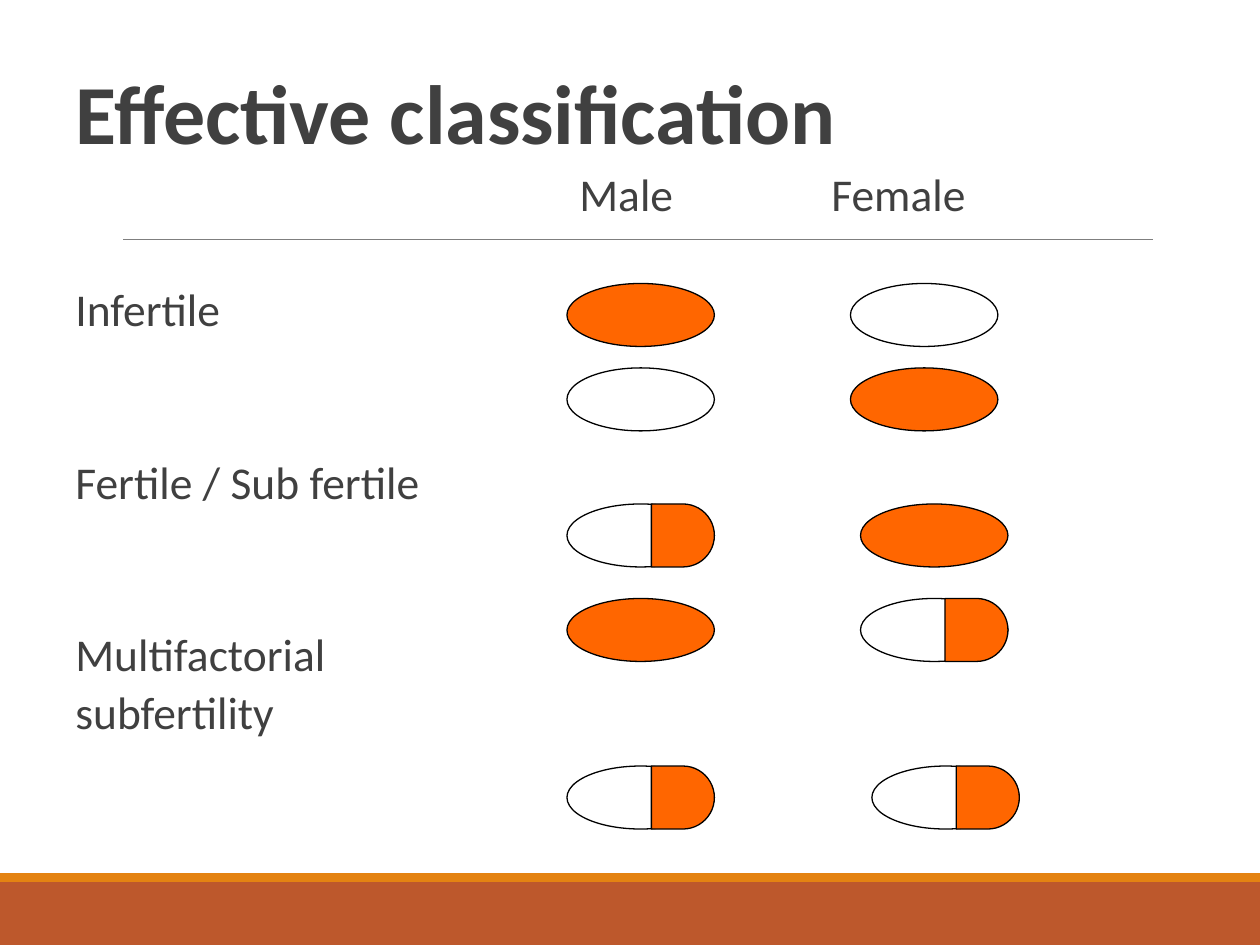
from lxml.etree import SubElement
from pptx import Presentation
from pptx.dml.color import RGBColor
from pptx.enum.shapes import MSO_CONNECTOR, MSO_SHAPE as SHAPE
from pptx.enum.text import MSO_ANCHOR, MSO_AUTO_SIZE, PP_ALIGN
from pptx.oxml.ns import qn
from pptx.util import Inches, Pt


def rgb(value):
    return RGBColor.from_string(value)


def add_shape(kind, x, y, w, h, fill, line=None):
    sp = s.shapes.add_shape(kind, Inches(x), Inches(y), Inches(w), Inches(h))
    sp.shadow.inherit = False
    sp.fill.solid()
    sp.fill.fore_color.rgb = rgb(fill)
    if line:
        sp.line.color.rgb = rgb(line)
        sp.line.width = Pt(0.75)
    else:
        sp.line.fill.background()


ORANGE, WHITE, BLACK, GREY = "FF6600", "FFFFFF", "000000", "404040"

prs = Presentation()
prs.slide_width, prs.slide_height = Inches(10), Inches(7.5)
s = prs.slides.add_slide(prs.slide_layouts[5])

add_shape(SHAPE.RECTANGLE, 0, 7, 10, 0.5, "BD582C")
add_shape(SHAPE.RECTANGLE, 0, 6.93, 10, 0.07, "E48312")

rule = s.shapes.add_connector(MSO_CONNECTOR.STRAIGHT, Inches(0.98), Inches(1.9), Inches(9.15), Inches(1.9))
rule.line.color.rgb = rgb("7F7F7F")
rule.line.width = Pt(0.5)
SubElement(rule._element.spPr, qn("a:effectLst"))

title = s.shapes.title
title.left, title.top, title.width, title.height = Inches(0.5), Inches(0.3), Inches(9), Inches(1.03)
tf = title.text_frame
tf.text = "Effective classification"
tf.auto_size = MSO_AUTO_SIZE.NONE
tf.vertical_anchor = MSO_ANCHOR.BOTTOM
p = tf.paragraphs[0]
p.alignment = PP_ALIGN.LEFT
p.line_spacing = 0.85
p.font.name, p.font.size, p.font.bold = "Calibri", Pt(48), True
p.font.color.rgb = rgb(GREY)

tf = s.shapes.add_textbox(Inches(0.5), Inches(1.42), Inches(9), Inches(5.28)).text_frame
tf.word_wrap = True
labels = [
    ("\tMale\tFemale", 0),
    ("Infertile", 45),
    ("Fertile / Sub fertile", 78),
    ("Multifactorial", 78),
    ("subfertility", 12),
]
for i, (text, before) in enumerate(labels):
    p = tf.add_paragraph() if i else tf.paragraphs[0]
    p.text = text
    p.line_spacing = 0.6
    p.space_before, p.space_after = Pt(before), Pt(2)
    if "\t" in text:
        tabs = SubElement(p._p.get_or_add_pPr(), qn("a:tabLst"))
        for stop in (4, 6):
            SubElement(tabs, qn("a:tab"), pos=str(Inches(stop)), algn="l")
    p.font.name, p.font.size = "Calibri", Pt(26)
    p.font.color.rgb = rgb(GREY)

MALE_X, PILL_W, PILL_H = 4.5, 1.17, 0.5
rows = [
    (2.25, 6.75, "full", "empty"),
    (2.92, 6.75, "empty", "full"),
    (4, 6.83, "half", "full"),
    (4.75, 6.83, "full", "half"),
    (6.08, 6.92, "half", "half"),
]
for y, female_x, male, female in rows:
    for x, state in ((MALE_X, male), (female_x, female)):
        fill = ORANGE if state == "full" else WHITE
        add_shape(SHAPE.OVAL, x, y, PILL_W, PILL_H, fill, BLACK)
        if state == "half":
            add_shape(SHAPE.FLOWCHART_DELAY, x + PILL_W - PILL_H, y, PILL_H, PILL_H, ORANGE, BLACK)

prs.save("out.pptx")
